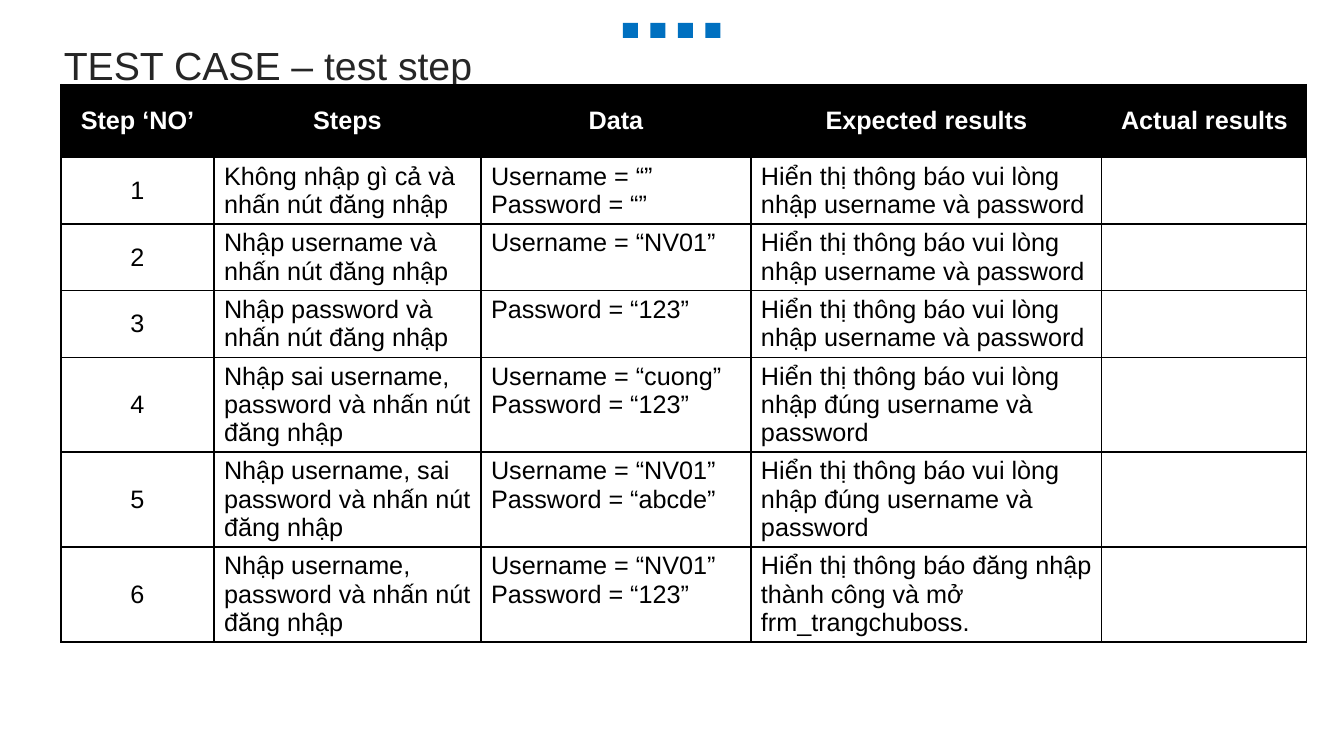
from lxml.etree import SubElement
from pptx import Presentation
from pptx.dml.color import RGBColor
from pptx.enum.shapes import MSO_SHAPE
from pptx.enum.text import MSO_ANCHOR, MSO_AUTO_SIZE, PP_ALIGN
from pptx.oxml.ns import qn
from pptx.util import Emu, Pt

BLUE = RGBColor(0x00, 0x70, 0xC0)
DARK = RGBColor(0x26, 0x26, 0x26)
BLACK = RGBColor(0x00, 0x00, 0x00)
WHITE = RGBColor(0xFF, 0xFF, 0xFF)
FONT = "Arial"


def px(length):
    return Emu(round(length * 914400 / 100.8))


def write(frame, text, size=18, color=BLACK, bold=False, align=PP_ALIGN.LEFT, spacing=None):
    for index, line in enumerate(text.split("\n")):
        para = frame.paragraphs[0] if index == 0 else frame.add_paragraph()
        para.alignment = align
        para.line_spacing = spacing
        para.space_before = Pt(0)
        span = para.add_run()
        span.text = line
        span.font.name = FONT
        span.font.size = Pt(size)
        span.font.bold = bold
        span.font.color.rgb = color


deck = Presentation()
deck.slide_width, deck.slide_height = px(1344), px(756)
page = deck.slides.add_slide(deck.slide_layouts[5])

# Row of blue squares
for index in range(4):
    square = page.shapes.add_shape(
        MSO_SHAPE.RECTANGLE, px(623 + 27.5 * index), px(23), px(15), px(15))
    square.shadow.inherit = False
    square.fill.solid()
    square.fill.fore_color.rgb = BLUE
    square.line.fill.background()

# Title
title = page.shapes.title
title.left, title.top, title.width, title.height = px(35), px(44), px(466), px(48)
title.text_frame.auto_size = MSO_AUTO_SIZE.NONE
title.text_frame.word_wrap = True
title.text_frame.vertical_anchor = MSO_ANCHOR.MIDDLE
write(title.text_frame, "TEST CASE – test step", size=28, color=DARK,
      align=PP_ALIGN.CENTER, spacing=0.9)

# Test steps
EMPTY_LOGIN = "Hiển thị thông báo vui lòng nhập username và password"
WRONG_LOGIN = "Hiển thị thông báo vui lòng nhập đúng username và password"
rows = [
    ("Step ‘NO’", "Steps", "Data", "Expected results", "Actual results"),
    ("1", "Không nhập gì cả và\nnhấn nút đăng nhập",
     "Username = “”\nPassword = “”", EMPTY_LOGIN, ""),
    ("2", "Nhập username và nhấn nút đăng nhập",
     "Username = “NV01”", EMPTY_LOGIN, ""),
    ("3", "Nhập password và nhấn nút đăng nhập",
     "Password = “123”", EMPTY_LOGIN, ""),
    ("4", "Nhập sai username, password và nhấn nút đăng nhập",
     "Username = “cuong”\nPassword = “123”", WRONG_LOGIN, ""),
    ("5", "Nhập username, sai password và nhấn nút đăng nhập",
     "Username = “NV01”\nPassword = “abcde”", WRONG_LOGIN, ""),
    ("6", "Nhập username, password và nhấn nút đăng nhập",
     "Username = “NV01”\nPassword = “123”",
     "Hiển thị thông báo đăng nhập thành công và mở frm_trangchuboss.", ""),
]
column_widths = [153, 267, 270, 351, 205]
row_heights = [73] + [66] * 3 + [95] * 3

# Table
table = page.shapes.add_table(
    len(rows), len(column_widths), px(61), px(84.5),
    px(sum(column_widths)), px(sum(row_heights))).table
table.horz_banding = False
for column, width in zip(table.columns, column_widths):
    column.width = px(width)
for row, height in zip(table.rows, row_heights):
    row.height = px(height)

for row_index, texts in enumerate(rows):
    header = row_index == 0
    for column_index, text in enumerate(texts):
        cell = table.cell(row_index, column_index)
        centred = header or column_index == 0

        # Thin black borders, placed before the fill
        properties = cell._tc.get_or_add_tcPr()
        for side in ("a:lnL", "a:lnR", "a:lnT", "a:lnB"):
            border = SubElement(properties, qn(side), w=str(Pt(1)))
            fill = SubElement(border, qn("a:solidFill"))
            SubElement(fill, qn("a:srgbClr"), val=str(BLACK))

        cell.fill.solid()
        cell.fill.fore_color.rgb = BLACK if header else WHITE
        cell.vertical_anchor = MSO_ANCHOR.MIDDLE if centred else MSO_ANCHOR.TOP
        if text:
            write(cell.text_frame, text, color=WHITE if header else BLACK, bold=header,
                  align=PP_ALIGN.CENTER if centred else PP_ALIGN.LEFT)

deck.save("out.pptx")
